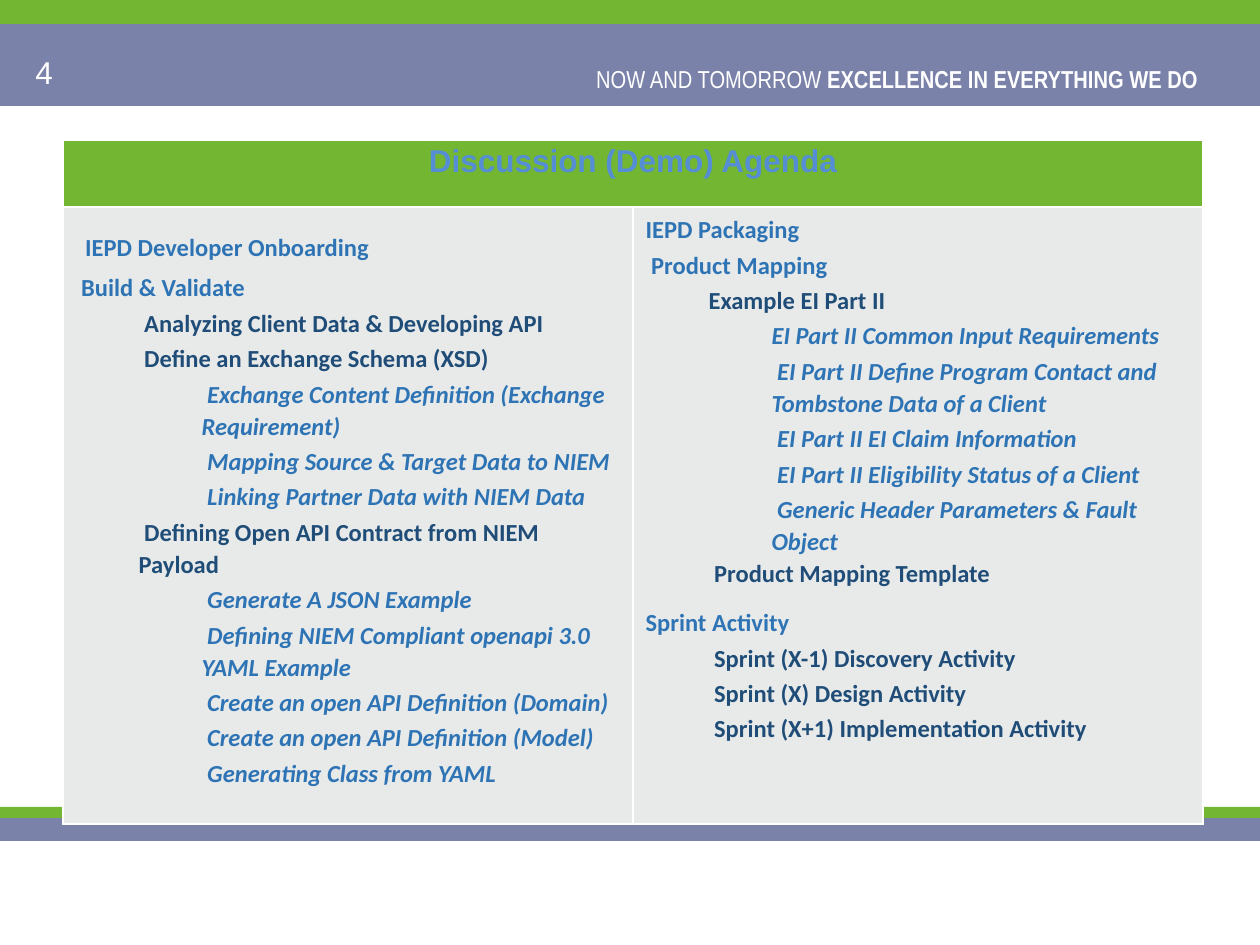
from lxml.etree import SubElement
from pptx import Presentation
from pptx.dml.color import RGBColor
from pptx.enum.shapes import MSO_SHAPE
from pptx.enum.text import PP_ALIGN
from pptx.oxml.ns import qn
from pptx.util import Pt

SCALE = 914400 / 126
GREEN, PURPLE, WHITE, GREY = "73B632", "7A82AA", "FFFFFF", "E8EAEA"
BLUE, NAVY, TITLE_BLUE = "2E74B5", "1F4D78", "558ED5"

BANDS = [
    (24, 82, PURPLE),
    (0, 24, GREEN),
    (818, 23, PURPLE),
    (807, 11, GREEN),
]
MOTTO = [("NOW AND TOMORROW ", False), ("EXCELLENCE IN EVERYTHING WE DO ", True)]
PAGE_NUMBER = "4"
TITLE = "Discussion (Demo) Agenda"
LEFT_AGENDA = [
    (0, "IEPD Developer Onboarding"),
    (0, " Build & Validate"),
    (1, " Analyzing Client Data & Developing API"),
    (1, " Define an Exchange Schema (XSD)"),
    (2, " Exchange Content Definition (Exchange Requirement)"),
    (2, " Mapping Source & Target Data to NIEM"),
    (2, " Linking Partner Data with NIEM Data"),
    (1, " Defining Open API Contract from NIEM Payload"),
    (2, " Generate A JSON Example"),
    (2, " Defining NIEM Compliant openapi 3.0 YAML Example"),
    (2, " Create an open API Definition (Domain)"),
    (2, " Create an open API Definition (Model)"),
    (2, " Generating Class from YAML"),
]
RIGHT_AGENDA = [
    (0, "IEPD Packaging"),
    (0, " Product Mapping"),
    (1, "Example EI Part II"),
    (2, "EI Part II Common Input Requirements"),
    (2, " EI Part II Define Program Contact and Tombstone Data of a Client"),
    (2, " EI Part II EI Claim Information"),
    (2, " EI Part II Eligibility Status of a Client"),
    (2, " Generic Header Parameters & Fault Object"),
    (1, " Product Mapping Template"),
    (0, "Sprint Activity"),
    (1, " Sprint (X-1) Discovery Activity"),
    (1, " Sprint (X) Design Activity"),
    (1, " Sprint (X+1) Implementation Activity"),
]
LEVEL_STYLES = [
    {"color": BLUE},
    {"color": NAVY},
    {"color": BLUE, "italic": True},
]
LEVEL_INDENT = 63
SPACING = {" Product Mapping Template": (0, 8)}
DEFAULT_SPACING = (2, 0)
TABLE_BOX = (63, 140, 1140, 684)
ROW_HEIGHTS = (67, 617)


def px(value):
    return round(value * SCALE)


def rgb(color):
    return RGBColor.from_string(color)


def add_text(paragraph, text, size=14, font="Calibri", color=WHITE, bold=False, italic=False):
    run = paragraph.add_run()
    run.text = text
    run.font.size = Pt(size)
    run.font.name = font
    run.font.color.rgb = rgb(color)
    run.font.bold = bold
    run.font.italic = italic


def add_band(slide, top, height, color):
    band = slide.shapes.add_shape(MSO_SHAPE.RECTANGLE, 0, px(top), px(1260), px(height))
    band.shadow.inherit = False
    band.fill.solid()
    band.fill.fore_color.rgb = rgb(color)
    band.line.fill.background()


def add_box(slide, *box):
    frame = slide.shapes.add_textbox(*map(px, box)).text_frame
    frame.word_wrap = True
    return frame.paragraphs[0]


def style_cell(cell, color):
    properties = cell._tc.get_or_add_tcPr()
    for side in ("a:lnL", "a:lnR", "a:lnT", "a:lnB"):
        line = SubElement(properties, qn(side), w=str(Pt(1)))
        fill = SubElement(line, qn("a:solidFill"))
        SubElement(fill, qn("a:srgbClr"), val=WHITE)
    cell.fill.solid()
    cell.fill.fore_color.rgb = rgb(color)


def fill_agenda(cell, agenda):
    frame = cell.text_frame
    for index, (level, text) in enumerate(agenda):
        paragraph = frame.add_paragraph() if index else frame.paragraphs[0]
        before, after = SPACING.get(text, DEFAULT_SPACING)
        paragraph.line_spacing = 1.07
        paragraph.space_before = Pt(before)
        paragraph.space_after = Pt(after)
        properties = paragraph._p.get_or_add_pPr()
        properties.set("marL", str(px(level * LEVEL_INDENT)))
        properties.set("indent", "0")
        if text == LEFT_AGENDA[0][1]:
            add_text(paragraph, " ", size=24, bold=True, color=BLUE)
        add_text(paragraph, text, bold=True, **LEVEL_STYLES[level])


def add_agenda_table(slide):
    table = slide.shapes.add_table(2, 2, *map(px, TABLE_BOX)).table
    table.first_row = table.horz_banding = False
    for row, height in zip(table.rows, ROW_HEIGHTS):
        row.height = px(height)
    for row, color in enumerate((GREEN, GREY)):
        for column in range(2):
            style_cell(table.cell(row, column), color)
    header = table.cell(0, 0)
    header.merge(table.cell(0, 1))
    header.margin_top = px(4)
    paragraph = header.text_frame.paragraphs[0]
    paragraph.alignment = PP_ALIGN.CENTER
    add_text(paragraph, TITLE, size=18, font="Arial", color=TITLE_BLUE, bold=True)
    for column, agenda in enumerate((LEFT_AGENDA, RIGHT_AGENDA)):
        fill_agenda(table.cell(1, column), agenda)


def main():
    """Build the agenda slide and save it."""
    presentation = Presentation()
    presentation.slide_width, presentation.slide_height = px(1260), px(945)
    slide = presentation.slides.add_slide(presentation.slide_layouts[6])
    for band in BANDS:
        add_band(slide, *band)
    motto = add_box(slide, 580, 58, 636, 43)
    motto.alignment = PP_ALIGN.RIGHT
    for text, bold in MOTTO:
        add_text(motto, text, font="Arial Narrow", bold=bold)
    add_text(add_box(slide, 23, 47, 294, 50), PAGE_NUMBER, size=18, font="Arial")
    add_agenda_table(slide)
    presentation.save("out.pptx")


if __name__ == "__main__":
    main()
